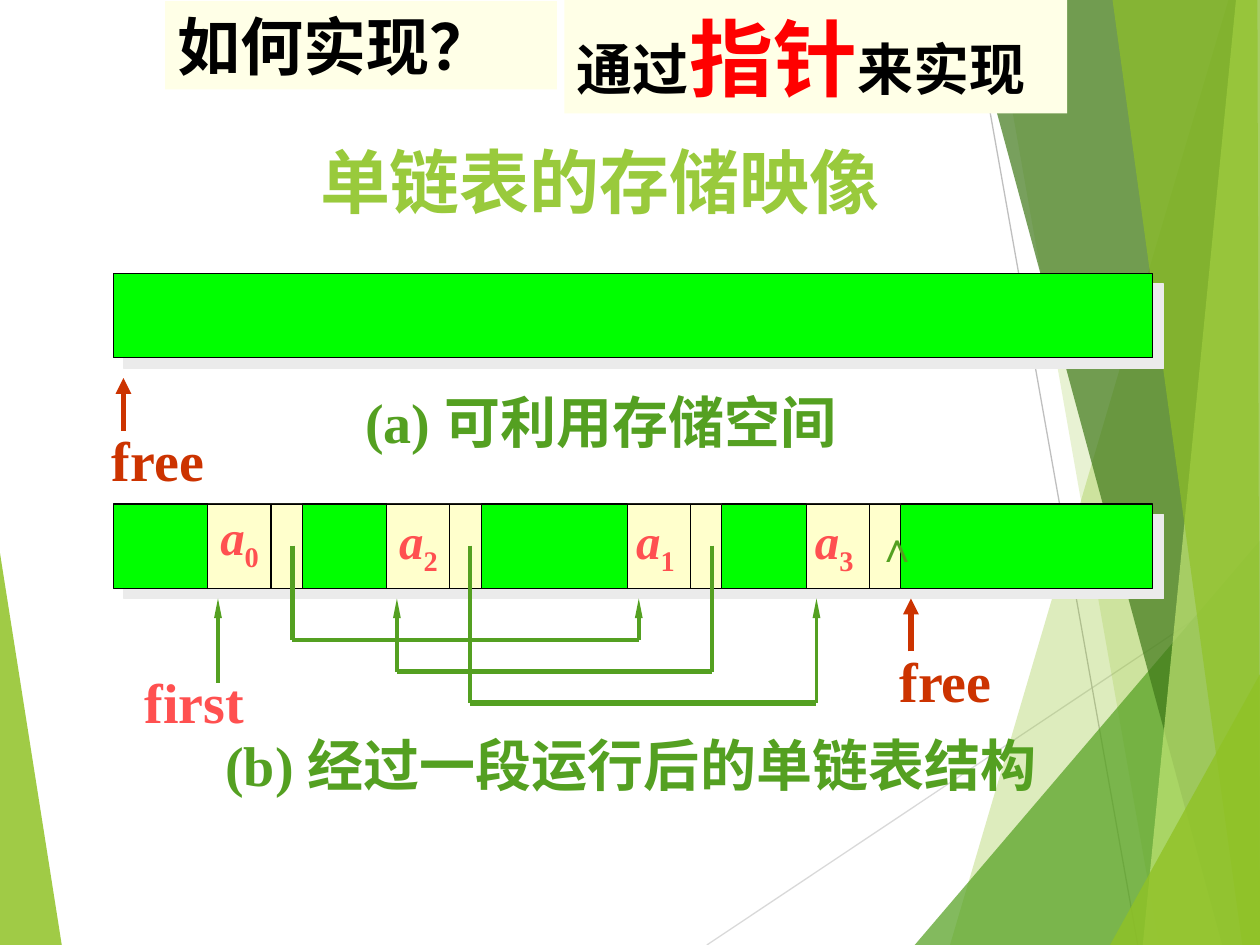
"""Build the slide on how a singly linked list is stored in memory."""
import pptx
import pptx.dml.color
import pptx.enum.shapes
import pptx.enum.text
import pptx.oxml
import pptx.oxml.ns
import pptx.util
from lxml import etree

Inches = pptx.util.Inches
Color = pptx.dml.color.RGBColor
qn = pptx.oxml.ns.qn
RECT = pptx.enum.shapes.MSO_SHAPE.RECTANGLE
STRAIGHT = pptx.enum.shapes.MSO_CONNECTOR.STRAIGHT
FIT = pptx.enum.text.MSO_AUTO_SIZE.SHAPE_TO_FIT_TEXT
LIME = Color(0x90, 0xC2, 0x26)
GREEN = Color(0x54, 0xA0, 0x21)
DARK = Color(0x3F, 0x78, 0x19)
PALE = Color(0xC0, 0xE4, 0x74)
TITLE = Color(0x99, 0xCA, 0x3C)
BRIGHT = Color(0x00, 0xFF, 0x00)
IVORY = Color(0xFF, 0xFF, 0xE7)
CREAM = Color(0xFF, 0xFF, 0xCC)
RED = Color(0xFF, 0x00, 0x00)
RUST = Color(0xCC, 0x33, 0x00)
CORAL = Color(0xFF, 0x50, 0x50)
BLACK = Color(0x00, 0x00, 0x00)
SILVER = Color(0xD9, 0xD9, 0xD9)
GRAY = Color(0xBF, 0xBF, 0xBF)
SERIF = "Times New Roman"
SANS = "Noto Sans CJK SC"

deck = pptx.Presentation()
deck.slide_width, deck.slide_height = Inches(10), Inches(7.5)
slide = deck.slides.add_slide(deck.slide_layouts[6])
shapes = slide.shapes


def draw_line(start, end, color, width, head=None):
    line = shapes.add_connector(STRAIGHT, *[Inches(v) for v in (*start, *end)])
    line.line.color.rgb = color
    line.line.width = pptx.util.Pt(width)
    if head:
        tail = etree.SubElement(line.line._get_or_add_ln(), qn("a:tailEnd"))
        tail.set("type", "triangle")
        tail.set("w", head[0])
        tail.set("len", head[1])
    etree.SubElement(line._element.spPr, qn("a:effectLst"))


def add_text(place, parts, wrap=False, fill=None, pad=0.1):
    box = shapes.add_textbox(*[Inches(v) for v in place])
    if fill:
        box.fill.solid()
        box.fill.fore_color.rgb = fill
    frame = box.text_frame
    frame.word_wrap = wrap
    frame.auto_size = FIT
    frame.margin_left = frame.margin_right = Inches(pad)
    frame.margin_top = frame.margin_bottom = Inches(pad / 2)
    for words, size, face, color in parts:
        run = frame.paragraphs[0].add_run()
        run.text = words
        run.font.size = pptx.util.Pt(size)
        run.font.bold = True
        run.font.color.rgb = color
        run.font.name = face
        etree.SubElement(run._r.get_or_add_rPr(), qn("a:ea")).set("typeface", SANS)
    return frame.paragraphs[0].runs


FACETS = [
    ([(0, 4.39), (0.49, 7.5), (0, 7.5)], LIME, 85),
    ([(9.75, 0), (7.54, 7.5), (10, 7.5), (10, 0)], LIME, 30),
    ([(7.88, 0), (9.2, 7.5), (10, 7.5), (10, 0)], LIME, 20),
    ([(7.26, 7.5), (10, 4.29), (10, 7.5)], GREEN, 72),
    ([(7.67, 0), (9.7, 7.5), (10, 7.5), (10, 0)], DARK, 70),
    ([(9.81, 0), (9.07, 7.5), (10, 7.5), (10, 0)], PALE, 70),
    ([(8.83, 0), (9.86, 7.5), (10, 7.5), (9.98, 0)], LIME, 65),
    ([(8.81, 7.5), (10, 5.35), (10, 7.5)], LIME, 80),
]
for index, (points, color, alpha) in enumerate(FACETS):
    spots = [(Inches(x), Inches(y)) for x, y in points]
    outline = shapes.build_freeform(*spots[0])
    outline.add_line_segments(spots[1:])
    facet = outline.convert_to_shape()
    facet.shadow.inherit = False
    facet.line.fill.background()
    facet.fill.solid()
    facet.fill.fore_color.rgb = color
    tint = facet._element.spPr.find(".//" + qn("a:srgbClr"))
    etree.SubElement(tint, qn("a:alpha")).set("val", str(alpha * 1000))
    if index == 0:
        draw_line((5.61, 7.5), (10, 4.57), SILVER, 0.75)
        draw_line((7.7, 0), (9.03, 7.5), GRAY, 0.75)

add_text((1.31, 0.01, 3.11, 0.7), [("如何实现？", 36, SERIF, BLACK)], True, IVORY)
add_text((4.48, 0, 3.99, 0.9), [("通过", 32, SERIF, BLACK), ("指针", 48, SERIF, RED),
                                ("来实现", 32, SERIF, BLACK)], True, IVORY)
add_text((2.42, 1.04, 4.69, 0.79), [("单链表的存储映像", 40, SANS, TITLE)], pad=0.12)

HIGH = 0.67
ROW = 4
NODES = [(1.65, 0.5, 1.65, 3.97, "0"), (3.07, 0.5, 3.07, ROW, "2"),
         (4.98, 0.5, 4.95, ROW, "1"), (6.4, 0.5, 6.37, ROW, "3")]
BARS = [(0.9, 2.17, 8.25, BRIGHT, 0.75), (0.9, ROW, 8.25, BRIGHT, 0.75)]
CELLS = [(node[0], ROW, 0.75, CREAM, 0.5) for node in NODES]
for left, top, wide, color, edge in BARS + CELLS:
    bar = shapes.add_shape(RECT, Inches(left), Inches(top), Inches(wide), Inches(HIGH))
    bar.shadow.inherit = False
    bar.fill.solid()
    bar.fill.fore_color.rgb = color
    bar.line.color.rgb = BLACK
    bar.line.width = pptx.util.Pt(edge)
    if color == BRIGHT:
        effects = bar._element.spPr.find(qn("a:effectLst"))
        shade = etree.SubElement(effects, qn("a:outerShdw"), dist="107950", dir="2700000",
                                 algn="ctr", rotWithShape="0")
        etree.SubElement(shade, qn("a:srgbClr"), val="EBEBEB")

for left, split, spot, top, digit in NODES:
    draw_line((left + split, ROW), (left + split, ROW + HIGH), BLACK, 0.75)
    name, sub = add_text((spot, top, 0.53, 0.63),
                         [("a", 28, SERIF, CORAL), (digit, 28, SERIF, CORAL)], True)
    name.font.italic = True
    sub.font._element.set("baseline", "-25000")
add_text((6.86, 4.08, 0.31, 0.5), [("∧", 24, "Arial", GREEN)])

WIDE, SLIM = ("med", "med"), ("sm", "lg")
TIP = 4.75
draw_line((0.98, 3.42), (0.98, 3), RUST, 3, WIDE)
draw_line((7.23, 5.17), (7.23, TIP), RUST, 3, WIDE)
draw_line((1.73, 5.42), (1.73, TIP), GREEN, 2.25, SLIM)
LINKS = [(2.32, 5.07, 5.08, 3, 2.25), (5.65, 3.15, 5.33, 2.25, 3),
         (3.73, 6.48, 5.58, 2.25, 3)]
for start, end, low, drop, run in LINKS:
    draw_line((start, 4.33), (start, low), GREEN, drop)
    draw_line((start, low), (end, low), GREEN, run)
    draw_line((end, low), (end, TIP), GREEN, 2.25, SLIM)

LABELS = [
    (0.79, 3.33, 0.94, "free", RUST),
    (2.8, 3.03, 4.05, "(a) 可利用存储空间", GREEN),
    (7.04, 5.08, 0.94, "free", RUST),
    (1.05, 5.25, 0.99, "first", CORAL),
]
for left, top, wide, words, color in LABELS:
    add_text((left, top, wide, 0.64), [(words, 32, SERIF, color)])
add_text((1.69, 5.75, 6.74, 0.64), [("(b) ", 32, SERIF, GREEN),
                                    ("经过一段运行后的单链表结构", 32, SANS, GREEN)])

deck.save("out.pptx")
